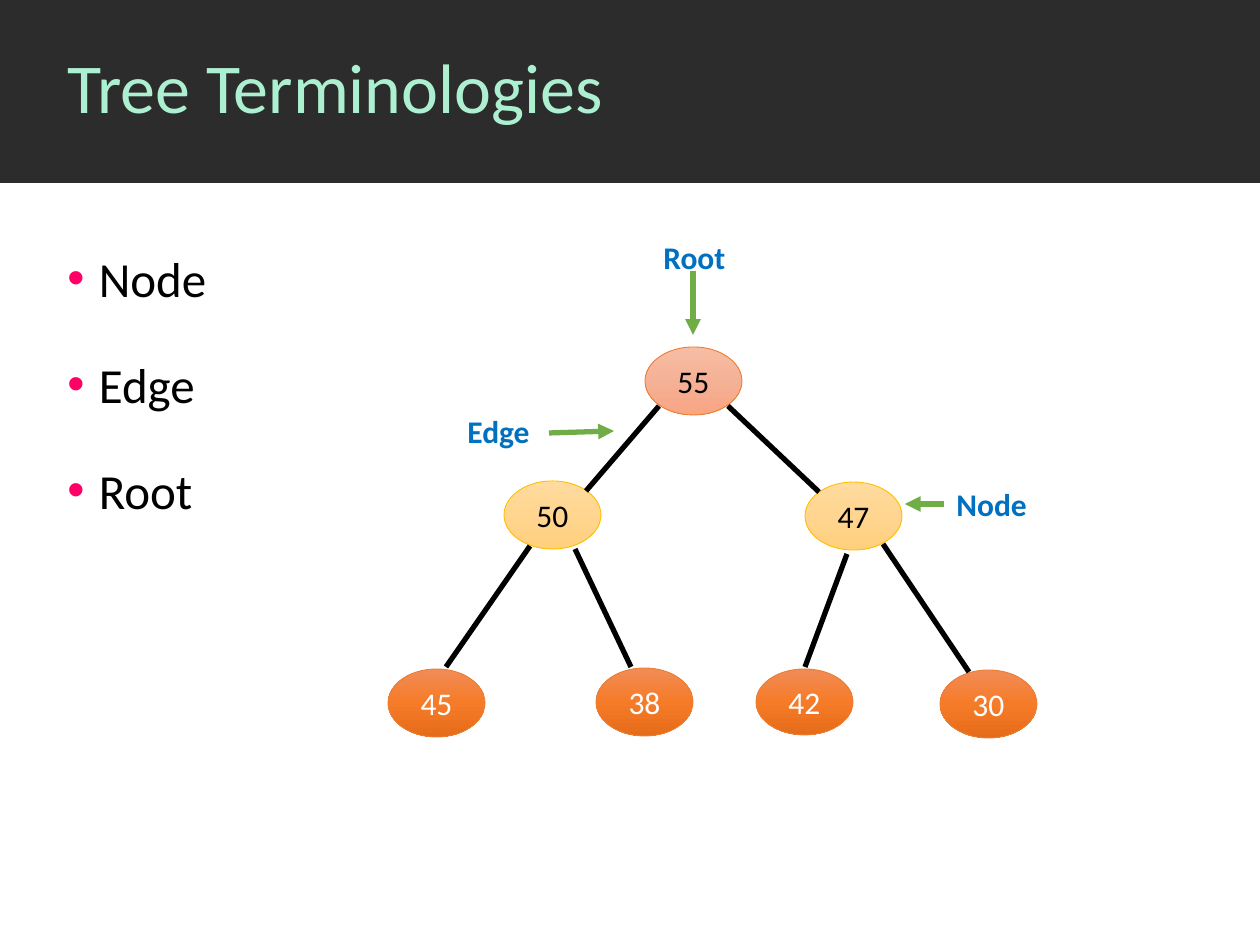
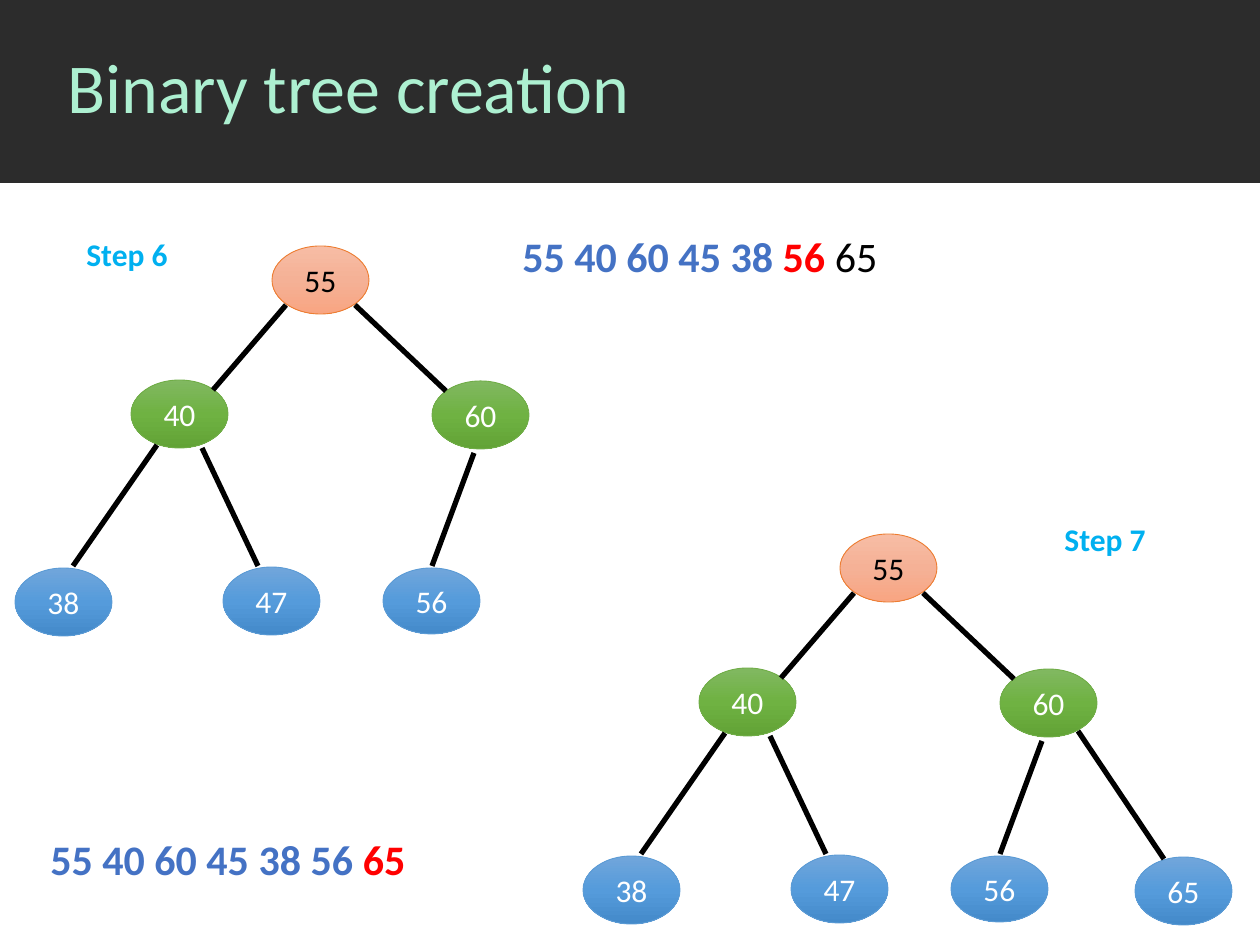
"""Build two slides on tree terms and binary tree creation."""
import copy

import lxml.etree
import pptx
import pptx.dml.color
import pptx.enum.shapes
import pptx.enum.text
import pptx.oxml.ns
import pptx.util

COLOURS = {
    "band": "2C2C2C", "title": "ADF0D1", "bullet": "FF0066",
    "black": "000000", "white": "FFFFFF", "term": "0070C0",
    "step": "00B0F0", "inserted": "4472C4", "current": "FF0000",
    "pointer": "70AD47",
}
NODE_STYLES = {
    "peach": (("F7BDA5", "F5B196", "F8A582"), "ED7D31", "black"),
    "yellow": (("FFDB9E", "FFD590", "FFD07C"), "FFC000", "black"),
    "orange": (("F18C57", "F67B28", "E56C19"), "ED7D31", "white"),
    "green": (("81B861", "6FB242", "62A336"), "70AD47", "white"),
    "blue": (("71A6DB", "559BDB", "448ACA"), "5B9BD5", "white"),
}
NODE_WIDTH = 97
NODE_SLOTS = [
    (0, 0, 68), (-141, 134, 68), (160, 135, 68), (-257, 322, 68),
    (-49, 321, 68), (111, 322, 66), (295, 323, 68),
]
EDGE_SLOTS = [
    (14, 59, -59, 144), (83, 59, 174, 145), (-115, 199, -199, 320),
    (-70, 202, -14, 320), (202, 207, 160, 320), (238, 197, 324, 325),
]


def px(length):
    return pptx.util.Emu(round(length * 914400 / 126))


def rgb(value):
    return pptx.dml.color.RGBColor.from_string(COLOURS.get(value, value))


def add_xml(parent, tag, **attributes):
    return lxml.etree.SubElement(parent, pptx.oxml.ns.qn(tag), attributes)


class TreeDeck:
    """Holds the deck style and draws on the current slide."""

    font_name = "Calibri"

    def __init__(self):
        self.deck = pptx.Presentation()
        self.deck.slide_width, self.deck.slide_height = px(1260), px(945)
        self.slide = None

    def style(self, font, size, colour=None, bold=None):
        font.name, font.size, font.bold = self.font_name, pptx.util.Pt(size), bold
        if colour:
            font.color.rgb = rgb(colour)

    def start_slide(self, heading):
        self.slide = self.deck.slides.add_slide(self.deck.slide_layouts[5])
        title = self.slide.shapes.title
        title.left, title.top, title.width, title.height = map(px, (55, 0, 1205, 181))
        frame = title.text_frame
        frame.text = heading
        frame.auto_size = pptx.enum.text.MSO_AUTO_SIZE.NONE
        frame.vertical_anchor = pptx.enum.text.MSO_ANCHOR.MIDDLE
        paragraph = frame.paragraphs[0]
        paragraph.alignment = pptx.enum.text.PP_ALIGN.LEFT
        paragraph.line_spacing = 0.9
        self.style(paragraph.font, 40, "title")

        band = self.slide.shapes.add_shape(
            pptx.enum.shapes.MSO_SHAPE.RECTANGLE, 0, 0, px(1260), px(183))
        band.shadow.inherit = False
        band.fill.solid()
        band.fill.fore_color.rgb = rgb("band")
        band.line.fill.background()
        title.element.addprevious(band.element)

    def text_frame(self, left, top, width, height, wrap=True):
        frame = self.slide.shapes.add_textbox(*map(px, (left, top, width, height))).text_frame
        frame.word_wrap = wrap
        return frame

    def bullets(self, terms, left, top, width, height):
        frame = self.text_frame(left, top, width, height)
        for index, term in enumerate(terms):
            paragraph = frame.add_paragraph() if index else frame.paragraphs[0]
            paragraph.text = term
            paragraph.alignment = pptx.enum.text.PP_ALIGN.JUSTIFY
            paragraph.line_spacing = 1.5
            if index:
                paragraph.space_before = pptx.util.Pt(10)
            properties = paragraph.runs[0].font and paragraph._p.get_or_add_pPr()
            properties.set("marL", "228600")
            properties.set("indent", "-228600")
            add_xml(add_xml(properties, "a:buClr"), "a:srgbClr", val=COLOURS["bullet"])
            add_xml(properties, "a:buFont", typeface="Arial")
            add_xml(properties, "a:buChar", char="•")
            self.style(paragraph.font, 28, "black")

    def label(self, text, colour, left, top, width=159):
        paragraph = self.text_frame(left, top, width, 50).paragraphs[0]
        paragraph.text = text
        self.style(paragraph.font, 18, colour, True)

    def sequence(self, parts, left, top):
        frame = self.text_frame(left, top, 432, 63, wrap=False)
        frame.auto_size = pptx.enum.text.MSO_AUTO_SIZE.SHAPE_TO_FIT_TEXT
        paragraph = frame.paragraphs[0]
        self.style(paragraph.font, 24)
        for text, colour, bold in parts:
            run = paragraph.add_run()
            run.text = text
            run.font.bold = bold
            run.font.color.rgb = rgb(colour)

    def node(self, value, style_name, left, top, height):
        gradient, outline, text_colour = NODE_STYLES[style_name]
        node = self.slide.shapes.add_shape(
            pptx.enum.shapes.MSO_SHAPE.OVAL, *map(px, (left, top, NODE_WIDTH, height)))
        node.shadow.inherit = False
        node.fill.gradient()
        node.fill.gradient_angle = 270
        stops = node.element.find(".//" + pptx.oxml.ns.qn("a:gsLst"))
        stops.insert(1, copy.deepcopy(stops[0]))
        for stop, position, colour in zip(node.fill.gradient_stops, (0, 0.5, 1), gradient):
            stop.position = position
            stop.color.rgb = rgb(colour)
        node.line.color.rgb = rgb(outline)
        node.line.width = pptx.util.Pt(0.5)
        frame = node.text_frame
        frame.text = str(value)
        frame.vertical_anchor = pptx.enum.text.MSO_ANCHOR.MIDDLE
        frame.paragraphs[0].alignment = pptx.enum.text.PP_ALIGN.CENTER
        self.style(frame.paragraphs[0].font, 18, text_colour)

    def line(self, x1, y1, x2, y2, colour="black", arrow=False):
        line = self.slide.shapes.add_connector(
            pptx.enum.shapes.MSO_CONNECTOR.STRAIGHT, *map(px, (x1, y1, x2, y2)))
        line.line.color.rgb = rgb(colour)
        line.line.width = pptx.util.Pt(3)
        outline = line.element.find(".//" + pptx.oxml.ns.qn("a:ln"))
        if arrow:
            add_xml(outline, "a:tailEnd", type="triangle")
        add_xml(outline.getparent(), "a:effectLst")

    def tree(self, values, level_styles, left, top):
        root, middle, leaf = level_styles
        slot_styles = [root] + [middle] * 2 + [leaf] * 4
        for value, style_name, (dx, dy, height) in zip(values, slot_styles, NODE_SLOTS):
            self.node(value, style_name, left + dx, top + dy, height)
        for x1, y1, x2, y2 in EDGE_SLOTS[:len(values) - 1]:
            self.line(left + x1, top + y1, left + x2, top + y2)


def build_terminologies(deck):
    deck.start_slide("Tree Terminologies")
    deck.bullets(["Node", "Edge", "Root"], 55, 213, 280, 703)
    deck.tree([55, 50, 47, 45, 38, 42, 30], ("peach", "yellow", "orange"), 645, 347)
    for term, left, top, pointer in [
        ("Root", 651, 232, (693, 271, 693, 335)),
        ("Edge", 455, 406, (549, 433, 614, 431)),
        ("Node", 944, 479, (944, 504, 905, 504)),
    ]:
        deck.label(term, "term", left, top)
        deck.line(*pointer, colour="pointer", arrow=True)


def build_creation(deck):
    deck.start_slide("Binary tree creation")
    values = [55, 40, 60, 38, 47, 56, 65]
    levels = ("peach", "green", "blue")
    deck.tree(values[:-1], levels, 272, 246)
    deck.tree(values, levels, 840, 534)
    deck.sequence([("55 40 60 45 38 ", "inserted", True), ("56", "current", True),
                   (" 65", "black", False)], 510, 224)
    deck.sequence([("55 40 60 45 38 56 ", "inserted", True),
                   ("65", "current", True)], 38, 827)
    deck.label("Step 7", "step", 1052, 514, 130)
    deck.label("Step 6", "step", 74, 229, 140)


def main():
    tree_deck = TreeDeck()
    build_terminologies(tree_deck)
    build_creation(tree_deck)
    tree_deck.deck.save("out.pptx")


if __name__ == "__main__":
    main()
